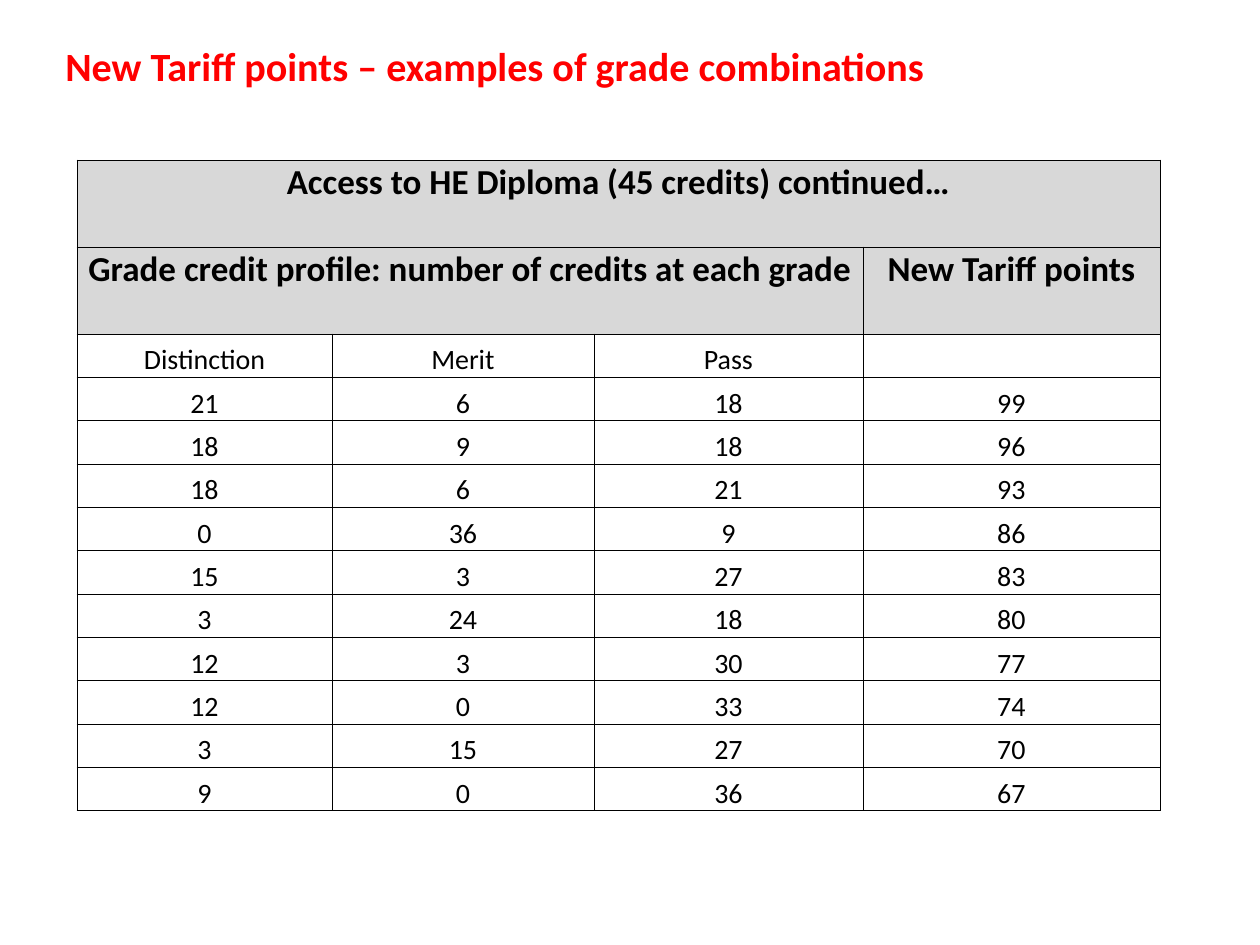
"""Build the slide of new Tariff points for grade combinations."""
from lxml.etree import SubElement
from pptx import Presentation
from pptx.dml.color import RGBColor
from pptx.enum.text import MSO_ANCHOR, PP_ALIGN
from pptx.oxml.ns import qn
from pptx.util import Emu, Pt

SCALE = 914400 / 126
RED = RGBColor(0xFF, 0x00, 0x00)
BLACK = RGBColor(0x00, 0x00, 0x00)
GREY = RGBColor(0xD8, 0xD8, 0xD8)
FONT = "Calibri"

COL_WIDTHS = [255, 262, 269, 297]
HEADER_HEIGHT = 87
BODY_HEIGHT = 477
GRADES = ["Distinction", "Merit", "Pass", ""]
PROFILES = [
    (21, 6, 18, 99),
    (18, 9, 18, 96),
    (18, 6, 21, 93),
    (0, 36, 9, 86),
    (15, 3, 27, 83),
    (3, 24, 18, 80),
    (12, 3, 30, 77),
    (12, 0, 33, 74),
    (3, 15, 27, 70),
    (9, 0, 36, 67),
]


def px(n):
    return Emu(round(n * SCALE))


def add_run(p, text, size, color, bold):
    r = p.add_run()
    r.text = text
    r.font.name = FONT
    r.font.size = Pt(size)
    r.font.bold = bold
    r.font.color.rgb = color


def add_title(slide, text):
    tf = slide.shapes.add_textbox(px(53), px(35), px(1134), px(157)).text_frame
    tf.word_wrap = True
    add_run(tf.paragraphs[0], text, 22.9, RED, True)


def set_borders(cell):
    tc_pr = cell._tc.get_or_add_tcPr()
    for i, side in enumerate(("lnL", "lnR", "lnT", "lnB")):
        ln = SubElement(tc_pr, qn(f"a:{side}"), w=str(Pt(0.5)))
        fill = SubElement(ln, qn("a:solidFill"))
        SubElement(fill, qn("a:srgbClr"), val=str(BLACK))
        tc_pr.insert(i, ln)


def style_cell(cell, header):
    cell.margin_left = cell.margin_right = cell.margin_top = px(1)
    cell.margin_bottom = 0
    cell.vertical_anchor = MSO_ANCHOR.TOP if header else MSO_ANCHOR.BOTTOM
    if header:
        cell.fill.solid()
        cell.fill.fore_color.rgb = GREY
    else:
        cell.fill.background()
    set_borders(cell)


def fill_cell(cell, text, header=False):
    p = cell.text_frame.paragraphs[0]
    p.alignment = PP_ALIGN.CENTER
    if text:
        add_run(p, text, 20 if header else 16, BLACK, header)


def add_tariff_table(slide):
    body = [GRADES, *PROFILES]
    height = 2 * HEADER_HEIGHT + BODY_HEIGHT
    table = slide.shapes.add_table(
        len(body) + 2, len(COL_WIDTHS), px(77), px(160), px(sum(COL_WIDTHS)), px(height)
    ).table
    table.first_row = table.horz_banding = False
    for col, width in zip(table.columns, COL_WIDTHS):
        col.width = px(width)
    for i, row in enumerate(table.rows):
        header = i < 2
        row.height = px(HEADER_HEIGHT if header else BODY_HEIGHT / len(body))
        for cell in row.cells:
            style_cell(cell, header)
    table.cell(0, 0).merge(table.cell(0, 3))
    table.cell(1, 0).merge(table.cell(1, 2))
    fill_cell(table.cell(0, 0), "Access to HE Diploma (45 credits) continued…", True)
    fill_cell(table.cell(1, 0), "Grade credit profile: number of credits at each grade", True)
    fill_cell(table.cell(1, 3), "New Tariff points", True)
    for i, values in enumerate(body, start=2):
        for j, value in enumerate(values):
            fill_cell(table.cell(i, j), str(value))


def main():
    prs = Presentation()
    prs.slide_width, prs.slide_height = px(1260), px(945)
    slide = prs.slides.add_slide(prs.slide_layouts[6])
    add_title(slide, "New Tariff points – examples of grade combinations")
    add_tariff_table(slide)
    prs.save("out.pptx")


if __name__ == "__main__":
    main()
